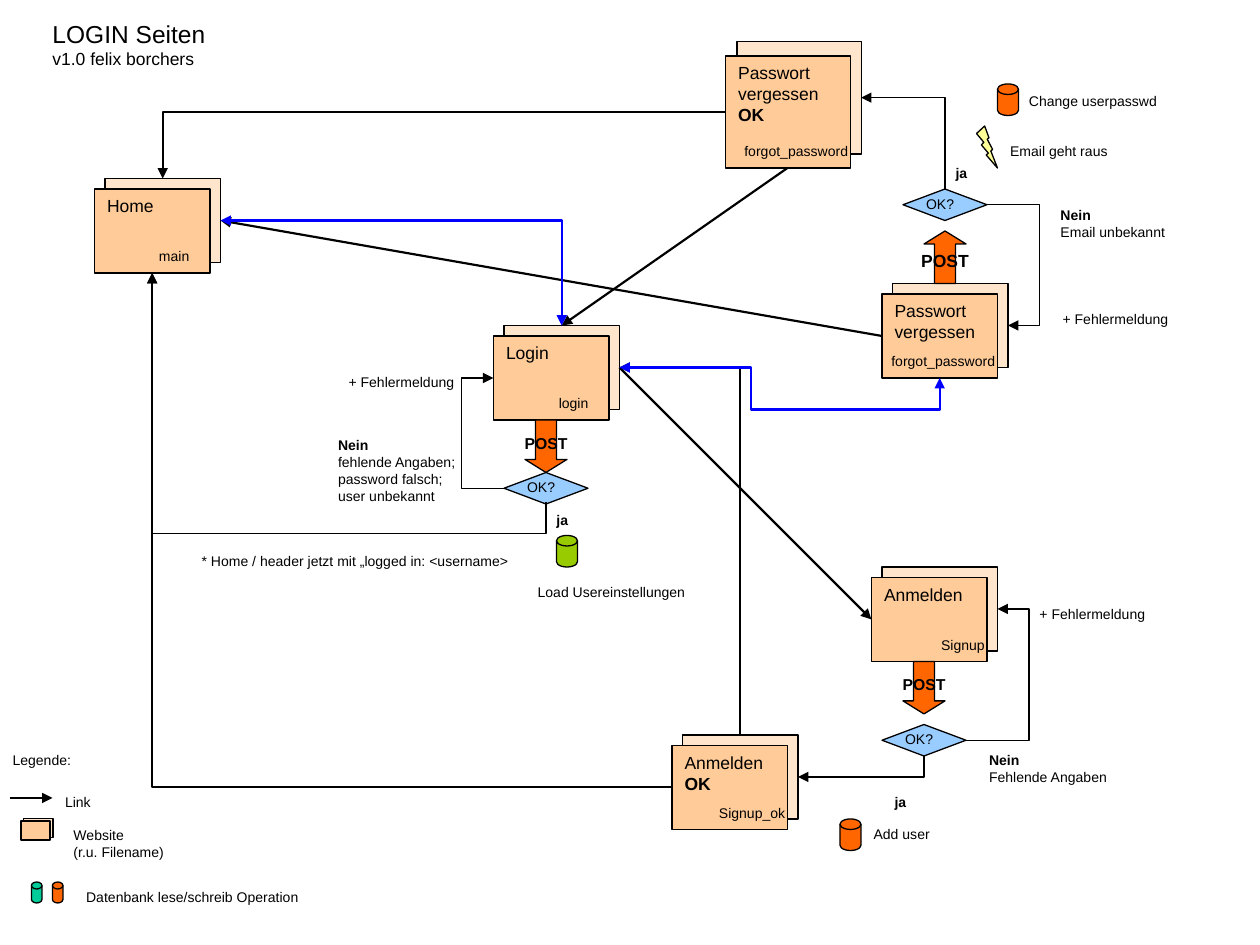
import pptx
import pptx.util
import pptx.dml.color
import pptx.enum.shapes
import pptx.enum.text
import pptx.oxml.ns
import lxml.etree

SHAPE = pptx.enum.shapes.MSO_SHAPE
CONNECTOR = pptx.enum.shapes.MSO_CONNECTOR
ALIGN = pptx.enum.text.PP_ALIGN
ANCHOR = pptx.enum.text.MSO_ANCHOR
qn = pptx.oxml.ns.qn


class Theme:
    font = "Arial"
    black, blue = "000000", "0000FF"
    sheet, diamond, orange = "FFCC99", "99CCFF", "FF6600"
    green, teal, yellow = "99CC00", "00CC99", "FFFF99"
    title, heading, post, small = 14, 10, 9, 8
    thin, outline, thick = 0.75, 1, 1.25


def grid(units):
    """The slide is a grid of 120 by 90 units."""
    return pptx.util.Cm(units * 25.4 / 120)


def rgb(code):
    return pptx.dml.color.RGBColor.from_string(code)


class FlowChart:
    def __init__(self, slide):
        self.slide = slide

    def fill_text(self, frame, lines, size=Theme.small, align=ALIGN.LEFT, wrap=False,
                  anchor=ANCHOR.TOP):
        """Each line is (text, bold) or (text, bold, size)."""
        frame.word_wrap = wrap
        frame.vertical_anchor = anchor
        frame.auto_size = pptx.enum.text.MSO_AUTO_SIZE.NONE
        frame.margin_left = frame.margin_right = grid(1.2)
        frame.margin_top = frame.margin_bottom = grid(0.6)
        para = frame.paragraphs[0]
        para.alignment = align
        for index, (text, bold, *own_size) in enumerate(lines):
            if index:
                para.add_line_break()
            span = para.add_run()
            span.text = text
            span.font.name = Theme.font
            span.font.size = pptx.util.Pt(own_size[0] if own_size else size)
            span.font.bold = bold
            span.font.color.rgb = rgb(Theme.black)

    def title(self, x, y, width, height, lines):
        box = self.slide.shapes.title
        box.left, box.top, box.width, box.height = map(grid, (x, y, width, height))
        self.fill_text(box.text_frame, lines)

    def label(self, x, y, width, *lines, parent=None, **style):
        height = 1.28 + 1.6 * len(lines)
        shapes = (parent or self.slide).shapes
        box = shapes.add_textbox(*map(grid, (x, y, width, height)))
        self.fill_text(box.text_frame, lines, **style)

    def shape(self, kind, x, y, width, height, color, parent=None,
              line=Theme.thin, alpha=None):
        shapes = (parent or self.slide).shapes
        shape = shapes.add_shape(kind, *map(grid, (x, y, width, height)))
        shape.shadow.inherit = False
        shape.fill.solid()
        shape.fill.fore_color.rgb = rgb(color)
        if alpha:
            code = shape._element.spPr.find(qn("a:solidFill")).find(qn("a:srgbClr"))
            lxml.etree.SubElement(code, qn("a:alpha"), val=str(alpha * 1000))
        shape.line.color.rgb = rgb(Theme.black)
        shape.line.width = pptx.util.Pt(line)
        return shape

    def page(self, x, y, heading=(), filename="", width=11, height=8, overhang=1):
        """Two stacked sheets with a heading and a file name at bottom right."""
        group = self.slide.shapes.add_group_shape()
        self.shape(SHAPE.RECTANGLE, x + width / 11, y - height / 8, width, height,
                   Theme.sheet, group, alpha=50)
        front = self.shape(SHAPE.RECTANGLE, x, y, width, height, Theme.sheet, group,
                           Theme.outline)
        if heading:
            self.fill_text(front.text_frame, heading, Theme.heading, wrap=True)
            self.label(x + width + overhang - 13, y + height - 3, 13, (filename, False),
                       parent=group, align=ALIGN.RIGHT, wrap=True)

    def decision(self, x, y):
        group = self.slide.shapes.add_group_shape()
        self.shape(SHAPE.FLOWCHART_DECISION, x, y, 8, 3, Theme.diamond, group)
        self.label(x + 1, y, 6, ("OK?", False), parent=group, wrap=True)

    def post(self, kind, x, y, size=Theme.post):
        arrow = self.shape(kind, x, y, 4, 5, Theme.orange)
        arrow.adjustments[1] = 0.31
        self.fill_text(arrow.text_frame, [("POST", True)], size, ALIGN.CENTER,
                       anchor=ANCHOR.MIDDLE)

    def disk(self, x, y, color, width=2, height=3):
        self.shape(SHAPE.FLOWCHART_MAGNETIC_DISK, x, y, width, height, color)

    def route(self, *points, width=Theme.thick, color=Theme.black, both=False):
        """An arrow through the points, straight or with right angles."""
        ends = ["headEnd", "tailEnd"] if both else ["tailEnd"]
        bends = len(points) - 1
        # A single bend runs sideways first, so start from the level end
        if bends == 2 and points[0][0] == points[1][0]:
            points = points[::-1]
            ends = ends if both else ["headEnd"]
        (x1, y1), (x2, y2) = points[0], points[-1]
        kind = CONNECTOR.STRAIGHT if bends == 1 else CONNECTOR.ELBOW
        link = self.slide.shapes.add_connector(kind, *map(grid, (x1, y1, x2, y2)))
        link.line.color.rgb = rgb(color)
        link.line.width = pptx.util.Pt(width)
        properties = link._element.spPr
        for end in ends:
            lxml.etree.SubElement(properties.find(qn("a:ln")), qn("a:" + end),
                                  type="triangle")
        lxml.etree.SubElement(properties, qn("a:effectLst"))
        if bends > 1:
            geometry = properties.find(qn("a:prstGeom"))
            geometry.set("prst", f"bentConnector{bends}")
            guides = geometry.find(qn("a:avLst"))
            ratios = []
            if bends > 2:
                ratios.append((points[1][0] - x1) / (x2 - x1))
            if bends > 3:
                ratios.append((points[2][1] - y1) / (y2 - y1))
            for number, ratio in enumerate(ratios, 1):
                lxml.etree.SubElement(guides, qn("a:gd"), name=f"adj{number}",
                                      fmla=f"val {round(ratio * 100000)}")


def main():
    deck = pptx.Presentation()
    deck.slide_width, deck.slide_height = grid(120), grid(90)
    chart = FlowChart(deck.slides.add_slide(deck.slide_layouts[5]))
    chart.title(3.8, 1.2, 17, 6, [("LOGIN Seiten", False, Theme.title),
                                  ("v1.0 felix borchers", False, Theme.heading)])

    # Pages
    chart.page(9, 18, [("Home", False)], "main", overhang=-0.75)
    chart.page(47, 32, [("Login", False)], "login", overhang=-0.75)
    chart.page(84, 28, [("Passwort vergessen", False)], "forgot_password")
    chart.page(69.1, 5.3, [("Passwort vergessen", False), ("OK", True)],
               "forgot_password", 11.9, 10.7)
    chart.page(83, 55, [("Anmelden", False)], "Signup")
    chart.page(64, 71, [("Anmelden", False), ("OK", True)], "Signup_ok")

    # Decisions and form posts
    for x, y in [(84, 69), (86, 18), (48, 45)]:
        chart.decision(x, y)
    chart.post(SHAPE.DOWN_ARROW, 86, 63)
    chart.post(SHAPE.DOWN_ARROW, 50, 40)
    chart.post(SHAPE.UP_ARROW, 88, 22, Theme.heading)

    # Links between pages
    chart.route((75, 16), (53.5, 31))
    chart.route((59, 35), (83, 59))
    chart.route((84, 32), (21, 21))
    chart.route((70.5, 70), (70.5, 35), (59, 35))
    chart.route((64, 75), (14.5, 75), (14.5, 26))
    chart.route((69.1, 10.7), (15.5, 10.7), (15.5, 17))
    chart.route((53.5, 31), (53.5, 21), (21, 21), color=Theme.blue, both=True)
    chart.route((59, 35), (71.5, 35), (71.5, 39), (89.5, 39), (89.5, 36),
                color=Theme.blue, both=True)

    # Outcomes of the decisions
    for points in [
        [(92, 70.5), (98, 70.5), (98, 58), (95, 58)],
        [(88, 72), (88, 74), (76, 74)],
        [(48, 46.5), (44, 46.5), (44, 36), (47, 36)],
        [(52, 47.8), (52, 47.8), (52, 50.8), (14.5, 50.8), (14.5, 26)],
        [(90, 18), (90, 9.3), (82, 9.3)],
        [(94, 19.5), (99, 19.5), (99, 31), (96, 31)],
    ]:
        chart.route(*points, width=Theme.thin)
    for x, y in [(97.8, 57.1), (32, 35), (100, 29)]:
        chart.label(x, y, 12.5, ("+ Fehlermeldung", False))
    for x, y in [(84, 75), (51.8, 48.1), (89.8, 15.1)]:
        chart.label(x, y, 3.5, ("ja", True))
    chart.label(93, 71, 13.7, ("Nein", True), ("Fehlende Angaben", False))
    chart.label(31, 41, 13.7, ("Nein", True), ("fehlende Angaben;", False),
                ("password falsch;", False), ("user unbekannt", False))
    chart.label(99.8, 19.1, 12.4, ("Nein", True), ("Email unbekannt", False))
    chart.label(18, 52, 31.7, ("* Home / header jetzt mit „logged in: <username>", False))

    # Database and mail actions
    chart.disk(53, 51, Theme.green)
    chart.label(50, 55, 16.4, ("Load Usereinstellungen", False))
    chart.disk(95, 8, Theme.orange)
    chart.label(96.8, 8.2, 14.6, ("Change userpasswd", False))
    chart.disk(80, 78, Theme.orange)
    chart.label(82, 78, 7.7, ("Add user", False))
    chart.shape(SHAPE.LIGHTNING_BOLT, 93, 12, 2, 4, Theme.yellow)
    chart.label(95, 13, 11.6, ("Email geht raus", False))

    # Legend
    chart.label(0, 71, 7.9, ("Legende:", False))
    chart.route((1, 76), (5, 76))
    chart.label(5, 75, 4.8, ("Link", False))
    chart.page(2, 78.2, width=2.8, height=1.8)
    chart.label(5.8, 78.1, 11, ("Website", False), ("(r.u. Filename)", False))
    chart.disk(3, 84, Theme.teal, 1, 2)
    chart.disk(5, 84, Theme.orange, 1, 2)
    chart.label(7, 84, 22.7, ("Datenbank lese/schreib Operation", False))

    deck.save("out.pptx")


if __name__ == "__main__":
    main()
